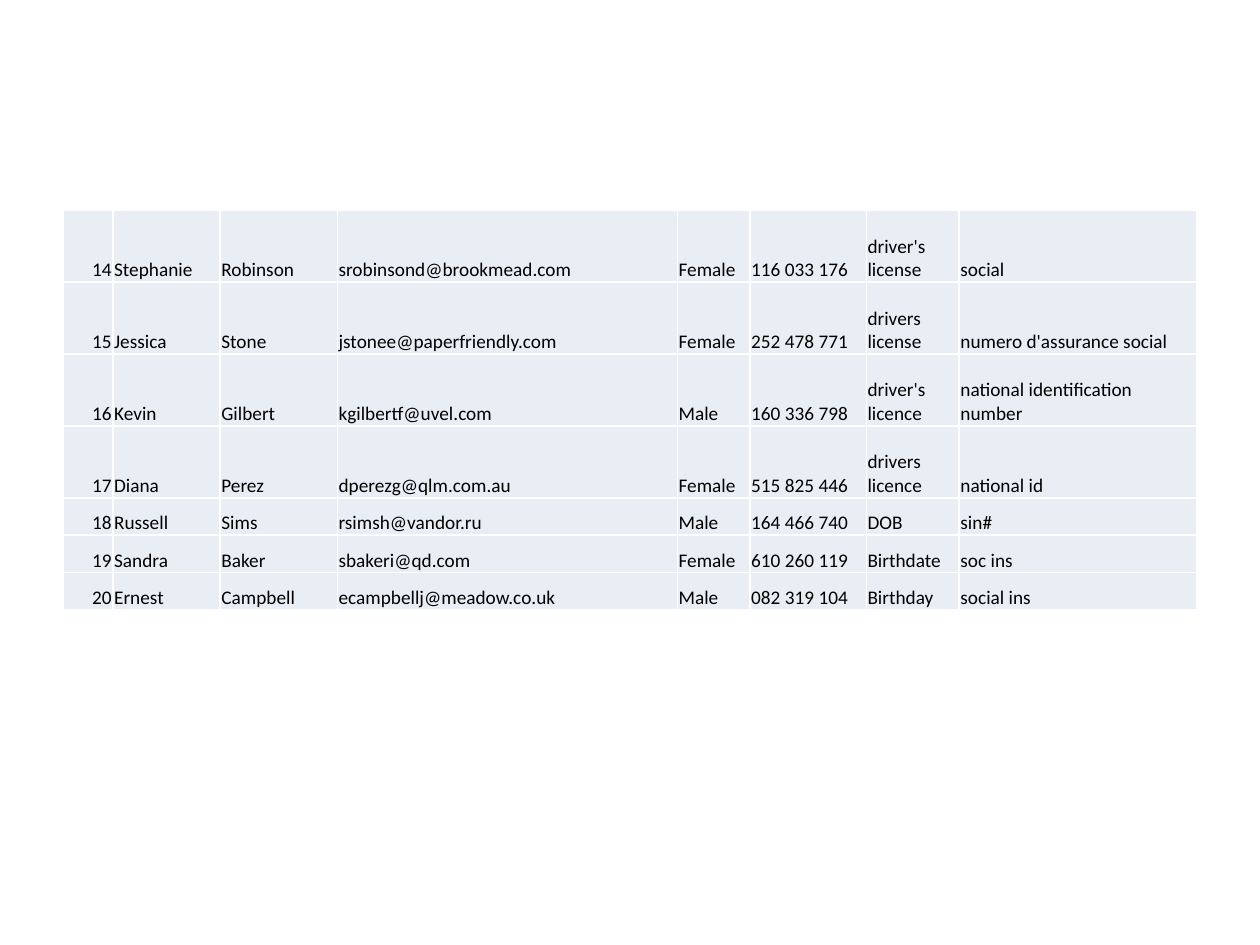
from typing import NamedTuple

from lxml.etree import SubElement
from pptx import Presentation
from pptx.dml.color import RGBColor
from pptx.enum.text import MSO_ANCHOR, PP_ALIGN
from pptx.oxml.ns import qn
from pptx.util import Pt

BLACK = RGBColor(0x00, 0x00, 0x00)
WHITE = RGBColor(0xFF, 0xFF, 0xFF)
PALE_BLUE = RGBColor(0xE9, 0xED, 0xF4)

COLUMN_WIDTHS = (28.5, 61.3, 67, 194.3, 41.5, 66.5, 53.1, 135.8)
TALL_ROW, SHORT_ROW = 41.1, 21.35
CELL_MARGIN = 0.72


class Person(NamedTuple):
    number: str
    first_name: str
    last_name: str
    email: str
    gender: str
    insurance_number: str
    document: str
    keyword: str


PEOPLE = (
    Person("14", "Stephanie", "Robinson", "srobinsond@brookmead.com", "Female",
           "116 033 176", "driver's license", "social "),
    Person("15", "Jessica", "Stone", "jstonee@paperfriendly.com", "Female",
           "252 478 771", "drivers license", "numero d'assurance social"),
    Person("16", "Kevin", "Gilbert", "kgilbertf@uvel.com", "Male",
           "160 336 798", "driver's licence", "national identification number"),
    Person("17", "Diana", "Perez", "dperezg@qlm.com.au", "Female",
           "515 825 446", "drivers licence", "national id"),
    Person("18", "Russell", "Sims", "rsimsh@vandor.ru", "Male",
           "164 466 740", "DOB", "sin#"),
    Person("19", "Sandra", "Baker", "sbakeri@qd.com", "Female",
           "610 260 119", "Birthdate", "soc ins"),
    Person("20", "Ernest", "Campbell", "ecampbellj@meadow.co.uk", "Male",
           "082 319 104", "Birthday", "social ins"),
)


def add_borders(cell, color: RGBColor, width: float) -> None:
    properties = cell._tc.get_or_add_tcPr()
    for side in ("a:lnL", "a:lnR", "a:lnT", "a:lnB"):
        line = SubElement(properties, qn(side), w=str(Pt(width)))
        fill = SubElement(line, qn("a:solidFill"))
        SubElement(fill, qn("a:srgbClr"), val=str(color))


def fill_cell(cell, text: str, alignment: PP_ALIGN) -> None:
    add_borders(cell, WHITE, 1)
    cell.fill.solid()
    cell.fill.fore_color.rgb = PALE_BLUE
    cell.vertical_anchor = MSO_ANCHOR.BOTTOM
    cell.margin_left = cell.margin_right = cell.margin_top = Pt(CELL_MARGIN)
    cell.margin_bottom = Pt(0)
    cell.text = text
    paragraph = cell.text_frame.paragraphs[0]
    paragraph.alignment = alignment
    paragraph.font.name = "Calibri"
    paragraph.font.size = Pt(11)
    paragraph.font.color.rgb = BLACK


presentation = Presentation()
presentation.slide_width, presentation.slide_height = Pt(720), Pt(540)
slide = presentation.slides.add_slide(presentation.slide_layouts[6])

# Table frame: rows whose document name wraps are taller
row_heights = [TALL_ROW if " " in person.document else SHORT_ROW for person in PEOPLE]
table = slide.shapes.add_table(
    len(PEOPLE), len(COLUMN_WIDTHS), Pt(36), Pt(120.2),
    Pt(sum(COLUMN_WIDTHS)), Pt(sum(row_heights))).table
table.first_row = table.horz_banding = False
for column, width in zip(table.columns, COLUMN_WIDTHS):
    column.width = Pt(width)

# Table contents
for row, height, person in zip(table.rows, row_heights, PEOPLE):
    row.height = Pt(height)
    for index, (cell, text) in enumerate(zip(row.cells, person)):
        fill_cell(cell, text, PP_ALIGN.RIGHT if index == 0 else PP_ALIGN.LEFT)

presentation.save("out.pptx")
